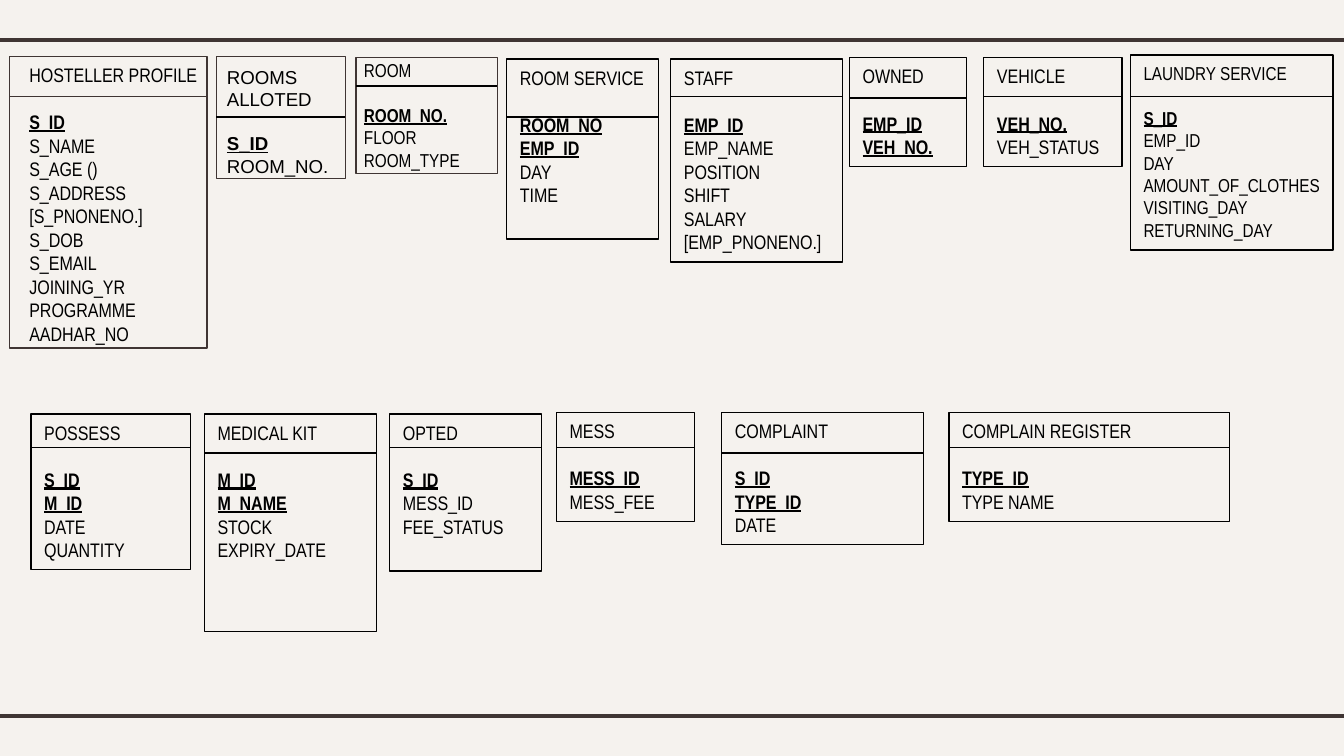
import pptx
import pptx.util
import pptx.dml.color
import pptx.enum.shapes
import pptx.enum.text
from dataclasses import dataclass
from pptx.oxml.ns import qn
from lxml import etree

Inches = pptx.util.Inches
Pt = pptx.util.Pt
RGBColor = pptx.dml.color.RGBColor

PAPER = RGBColor(0xF5, 0xF2, 0xEE)
BROWN = RGBColor(0x3F, 0x35, 0x33)
DARK_BROWN = RGBColor(0x3E, 0x34, 0x32)
BLACK = RGBColor(0, 0, 0)


@dataclass
class Entity:
    title: str
    keys: list
    fields: list
    box: tuple
    divider: float
    size: float = 10.5
    font: str = "Arial Narrow"
    line: RGBColor = BLACK
    divider_line: RGBColor = BLACK
    text_box: tuple = None


class Diagram:
    def __init__(self, s):
        self.s = s
        s.background.fill.solid()
        s.background.fill.fore_color.rgb = PAPER

    def line(self, x1, x2, y, color, width=0.75):
        sp = self.s.shapes.add_connector(
            pptx.enum.shapes.MSO_CONNECTOR.STRAIGHT,
            Inches(x1), Inches(y), Inches(x2), Inches(y))
        sp.line.color.rgb = color
        sp.line.width = Pt(width)
        etree.SubElement(sp._element.spPr, qn("a:effectLst"))

    def rect(self, box, color):
        sp = self.s.shapes.add_shape(
            pptx.enum.shapes.MSO_SHAPE.RECTANGLE, *map(Inches, box))
        sp.shadow.inherit = False
        sp.fill.background()
        sp.line.color.rgb = color
        sp.line.width = Pt(0.75)
        return sp

    def paragraph(self, p, text, entity, key=False):
        p.alignment = pptx.enum.text.PP_ALIGN.LEFT
        r = p.add_run()
        r.text = text
        r.font.name = entity.font
        r.font.size = Pt(entity.size)
        r.font.color.rgb = BLACK
        r.font.bold = key
        r.font.underline = key

    def text(self, sp, entity):
        tf = sp.text_frame
        tf.word_wrap = True
        tf.auto_size = pptx.enum.text.MSO_AUTO_SIZE.NONE
        tf.vertical_anchor = pptx.enum.text.MSO_ANCHOR.TOP
        tf.margin_right = Inches(0)
        self.paragraph(tf.paragraphs[0], entity.title, entity)
        for i, name in enumerate(entity.keys + entity.fields):
            p = tf.add_paragraph()
            if i == 0:
                line_height = 1.2 if entity.font == "Arial Narrow" else 1.15
                p.space_before = Pt(entity.size * line_height)
            self.paragraph(p, name, entity, key=i < len(entity.keys))

    def entity(self, entity):
        if entity.text_box:
            sp = self.s.shapes.add_textbox(*map(Inches, entity.text_box))
            self.rect(entity.box, entity.line)
        else:
            sp = self.rect(entity.box, entity.line)
        self.text(sp, entity)

    def divider(self, entity):
        x, _, w, _ = entity.box
        self.line(x, x + w, entity.divider, entity.divider_line)


ENTITIES = [
    Entity("HOSTELLER PROFILE", ["S_ID"],
           ["S_NAME", "S_AGE ()", "S_ADDRESS", "[S_PNONENO.]", "S_DOB",
            "S_EMAIL", "JOINING_YR", "PROGRAMME", "AADHAR_NO"],
           (0.07, 0.42, 1.47, 2.17), 0.72, line=BROWN,
           divider_line=DARK_BROWN, text_box=(0.12, 0.42, 1.58, 2.46)),
    Entity("ROOMS ALLOTED", ["S_ID"], ["ROOM_NO."],
           (1.61, 0.42, 0.96, 0.91), 0.87, size=10, font="Arial", line=BROWN,
           text_box=(1.59, 0.44, 1.13, 1.18)),
    Entity("ROOM", ["ROOM_NO."], ["FLOOR", "ROOM_TYPE"],
           (2.65, 0.43, 1.05, 0.86), 0.64, size=10, line=BROWN,
           text_box=(2.61, 0.39, 1.51, 0.94)),
    Entity("ROOM SERVICE", ["ROOM_NO", "EMP_ID"], ["DAY", "TIME"],
           (3.77, 0.44, 1.13, 1.34), 0.87),
    Entity("STAFF", ["EMP_ID"],
           ["EMP_NAME", "POSITION", "SHIFT", "SALARY", "[EMP_PNONENO.]"],
           (4.99, 0.44, 1.28, 1.51), 0.72),
    Entity("OWNED", ["EMP_ID", "VEH_NO."], [],
           (6.32, 0.43, 0.87, 0.81), 0.73),
    Entity("VEHICLE", ["VEH_NO."], ["VEH_STATUS"],
           (7.32, 0.43, 1.03, 0.81), 0.72),
    Entity("LAUNDRY SERVICE", ["S_ID"],
           ["EMP_ID", "DAY", "AMOUNT_OF_CLOTHES", "VISITING_DAY",
            "RETURNING_DAY"],
           (8.41, 0.41, 1.51, 1.45), 0.72, size=10),
    Entity("POSSESS", ["S_ID", "M_ID"], ["DATE", "QUANTITY"],
           (0.23, 3.08, 1.19, 1.16), 3.33),
    Entity("MEDICAL KIT", ["M_ID", "M_NAME"], ["STOCK", "EXPIRY_DATE"],
           (1.52, 3.08, 1.28, 1.62), 3.37),
    Entity("OPTED", ["S_ID"], ["MESS_ID", "FEE_STATUS"],
           (2.9, 3.08, 1.13, 1.17), 3.33),
    Entity("MESS", ["MESS_ID"], ["MESS_FEE"],
           (4.14, 3.07, 1.03, 0.81), 3.33),
    Entity("COMPLAINT", ["S_ID", "TYPE_ID"], ["DATE"],
           (5.37, 3.07, 1.5, 0.98), 3.37),
    Entity("COMPLAIN REGISTER", ["TYPE_ID"], ["TYPE NAME"],
           (7.06, 3.07, 2.09, 0.81), 3.33),
]


def main():
    prs = pptx.Presentation()
    prs.slide_width = Inches(10)
    prs.slide_height = prs.slide_width * 9 // 16
    diagram = Diagram(prs.slides.add_slide(prs.slide_layouts[6]))
    for y in (0.3, 5.33):
        diagram.line(-0.08, 10.08, y, BROWN, 2.25)
    for entity in ENTITIES:
        diagram.entity(entity)
    for entity in ENTITIES:
        diagram.divider(entity)
    prs.save("out.pptx")


if __name__ == "__main__":
    main()
